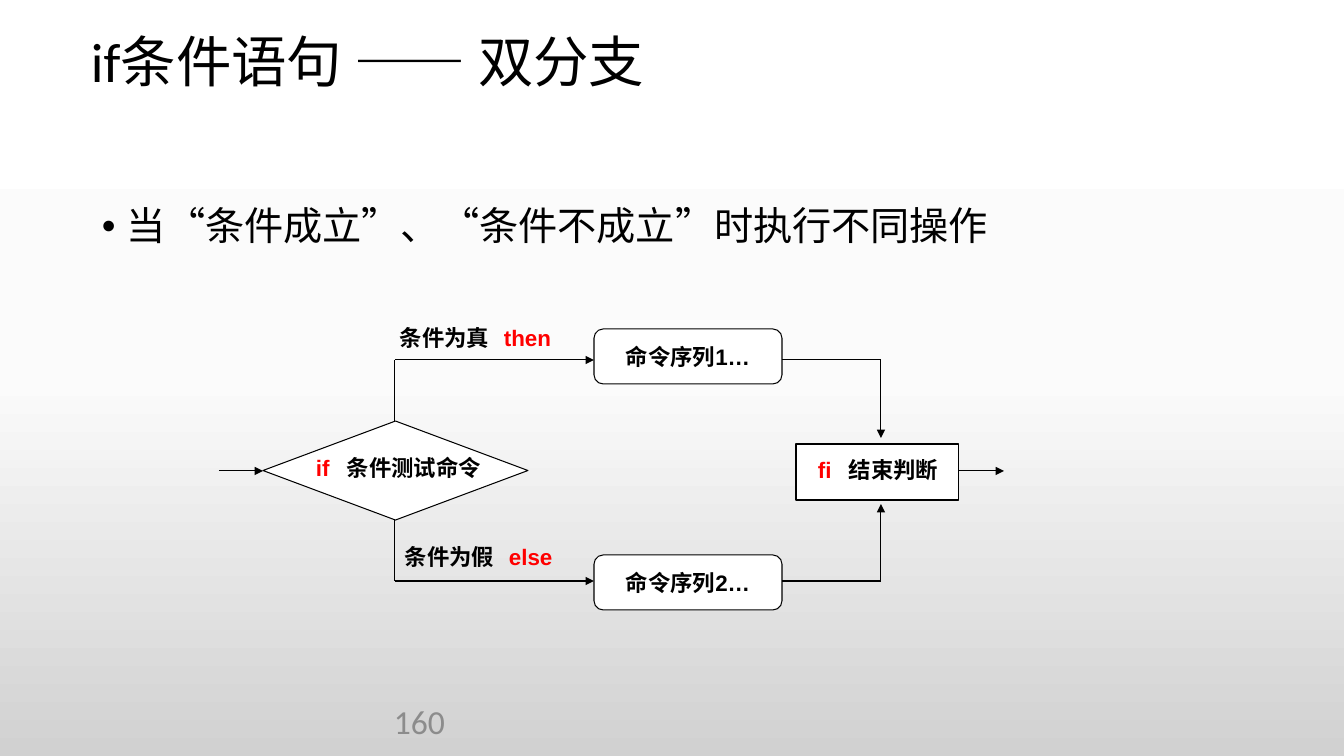
import copy

import pptx
import pptx.dml.color
import pptx.enum.shapes
import pptx.enum.text
import pptx.oxml
import pptx.oxml.ns
import pptx.util

PX = 12192000 / 1344
BLACK, WHITE, RED, GRAY = "000000", "FFFFFF", "FF0000", "8C8C8C"
SHAPE = pptx.enum.shapes.MSO_SHAPE
ALIGN = pptx.enum.text.PP_ALIGN
MIDDLE = pptx.enum.text.MSO_ANCHOR.MIDDLE
TOP = pptx.enum.text.MSO_ANCHOR.TOP


def px(n):
    return pptx.util.Emu(round(n * PX))


def rgb(color):
    return pptx.dml.color.RGBColor.from_string(color)


def add_element(parent, tag, **attrs):
    child = pptx.oxml.parse_xml(f"<a:{tag} {pptx.oxml.ns.nsdecls('a')}/>")
    for name, value in attrs.items():
        child.set(name, str(value))
    parent.append(child)
    return child


def write(sp, *runs, size=16, font="Arial", bold=False, align=ALIGN.LEFT,
          anchor=MIDDLE, insets=(0, 0, 0, 0), spacing=None, tab=None, bullet=None):
    """Fill a shape with one paragraph of (text, colour) runs; lengths in px."""
    tf = sp.text_frame
    tf.word_wrap = True
    tf.vertical_anchor = anchor
    tf.margin_left, tf.margin_top, tf.margin_right, tf.margin_bottom = map(px, insets)
    p = tf.paragraphs[0]
    p.alignment = align
    if spacing:
        p.line_spacing = spacing
    pPr = p._p.get_or_add_pPr()
    if bullet:
        pPr.set("marL", str(px(bullet)))
        pPr.set("indent", str(px(-bullet)))
        add_element(pPr, "buFont", typeface="Arial")
        add_element(pPr, "buChar", char="•")
    if tab:
        tabs = add_element(pPr, "tabLst")
        add_element(tabs, "tab", pos=px(tab), algn="l")
    for text, color in runs:
        r = p.add_run()
        r.text = text
        r.font.name, r.font.size, r.font.bold = font, pptx.util.Pt(size), bold
        r.font.color.rgb = rgb(color)


def add_text(s, box, *runs, **fmt):
    sp = s.shapes.add_textbox(*map(px, box))
    write(sp, *runs, **fmt)


def add_node(s, kind, box):
    sp = s.shapes.add_shape(kind, *map(px, box))
    sp.shadow.inherit = False
    sp.fill.solid()
    sp.fill.fore_color.rgb = rgb(WHITE)
    sp.line.color.rgb = rgb(BLACK)
    sp.line.width = pptx.util.Pt(0.75)
    return sp


def add_line(s, x1, y1, x2, y2, arrow=False):
    straight = pptx.enum.shapes.MSO_CONNECTOR.STRAIGHT
    line = s.shapes.add_connector(straight, *map(px, (x1, y1, x2, y2)))
    line.line.color.rgb = rgb(BLACK)
    line.line.width = pptx.util.Pt(0.75)
    if arrow:
        add_element(line.line._get_or_add_ln(), "tailEnd", type="triangle")
    add_element(line._element.spPr, "effectLst")


def paint_background(s):
    fill = s.background.fill
    fill.gradient()
    fill.gradient_angle = 270
    stops = s.element.xpath(".//a:gsLst")[0]
    stops.insert(1, copy.deepcopy(stops[0]))
    for stop, position, color in zip(fill.gradient_stops, (0, 0.5, 1),
                                     (WHITE, "FBFBFB", "D1D1D1")):
        stop.position = position
        stop.color.rgb = rgb(color)


def add_heading(s, box):
    title = s.shapes.title
    title.left, title.top, title.width, title.height = map(px, box)
    write(title, ("if条件语句 —— 双分支", BLACK), size=39.6, font="Calibri",
          insets=(9, 5, 9, 5), spacing=0.9)


def add_branch(s, box, label, label_xy, line_y, join_y, command):
    """Draw one outcome of the test: label, command box and its lines."""
    x, y, w, h = box
    split_x, join_x = x - 199, x + w + 99
    add_line(s, split_x, line_y, x, line_y, arrow=True)
    add_line(s, x + w, line_y, join_x, line_y)
    add_line(s, join_x, line_y, join_x, join_y, arrow=True)
    node = add_node(s, SHAPE.FLOWCHART_ALTERNATE_PROCESS, box)
    write(node, (command, BLACK), bold=True, align=ALIGN.CENTER)
    condition, keyword = label
    add_text(s, (*label_xy, 170, 37), (condition + "\t", BLACK), (keyword, RED),
             bold=True, tab=104)


def add_flowchart(s, box):
    x, y, w, h = box
    mid, split_x = y + 142, x + 176
    add_line(s, split_x, y + 31, split_x, y + 252)
    add_node(s, SHAPE.FLOWCHART_DECISION, (x + 44, mid - 50, 265, 99))
    add_text(s, (x + 97, mid - 22, 180, 37), ("if\t", RED), ("条件测试命令", BLACK),
             bold=True, tab=31)
    add_branch(s, (x + 375, y, 188, 55), ("条件为真", "then"), (x + 181, y - 10),
               y + 31, mid - 33, "命令序列1…")
    add_branch(s, (x + 375, y + h - 55, 188, 55), ("条件为假", "else"),
               (x + 186, y + 209), y + 252, mid + 33, "命令序列2…")
    end = add_node(s, SHAPE.FLOWCHART_PROCESS, (x + w - 208, mid - 27, 163, 56))
    write(end, ("fi\t", RED), ("结束判断", BLACK), bold=True, tab=31,
          insets=(22, 0, 0, 4))
    add_line(s, x, mid, x + 44, mid, arrow=True)
    add_line(s, x + w - 45, mid, x + w, mid, arrow=True)


def main():
    prs = pptx.Presentation()
    prs.slide_width, prs.slide_height = px(1344), px(756)
    s = prs.slides.add_slide(prs.slide_layouts[5])
    paint_background(s)
    add_heading(s, (82, 35, 639, 60))
    add_text(s, (93, 202, 1159, 480),
             ("当“条件成立”、“条件不成立”时执行不同操作", BLACK), size=28,
             font="Calibri", anchor=TOP, insets=(9, 5, 9, 5), spacing=0.9, bullet=25)
    add_flowchart(s, (219, 329, 785, 281))
    add_text(s, (219, 701, 235, 40), ("160", GRAY), size=24, font="Calibri",
             align=ALIGN.RIGHT, insets=(9, 5, 9, 5))
    prs.save("out.pptx")


if __name__ == "__main__":
    main()
